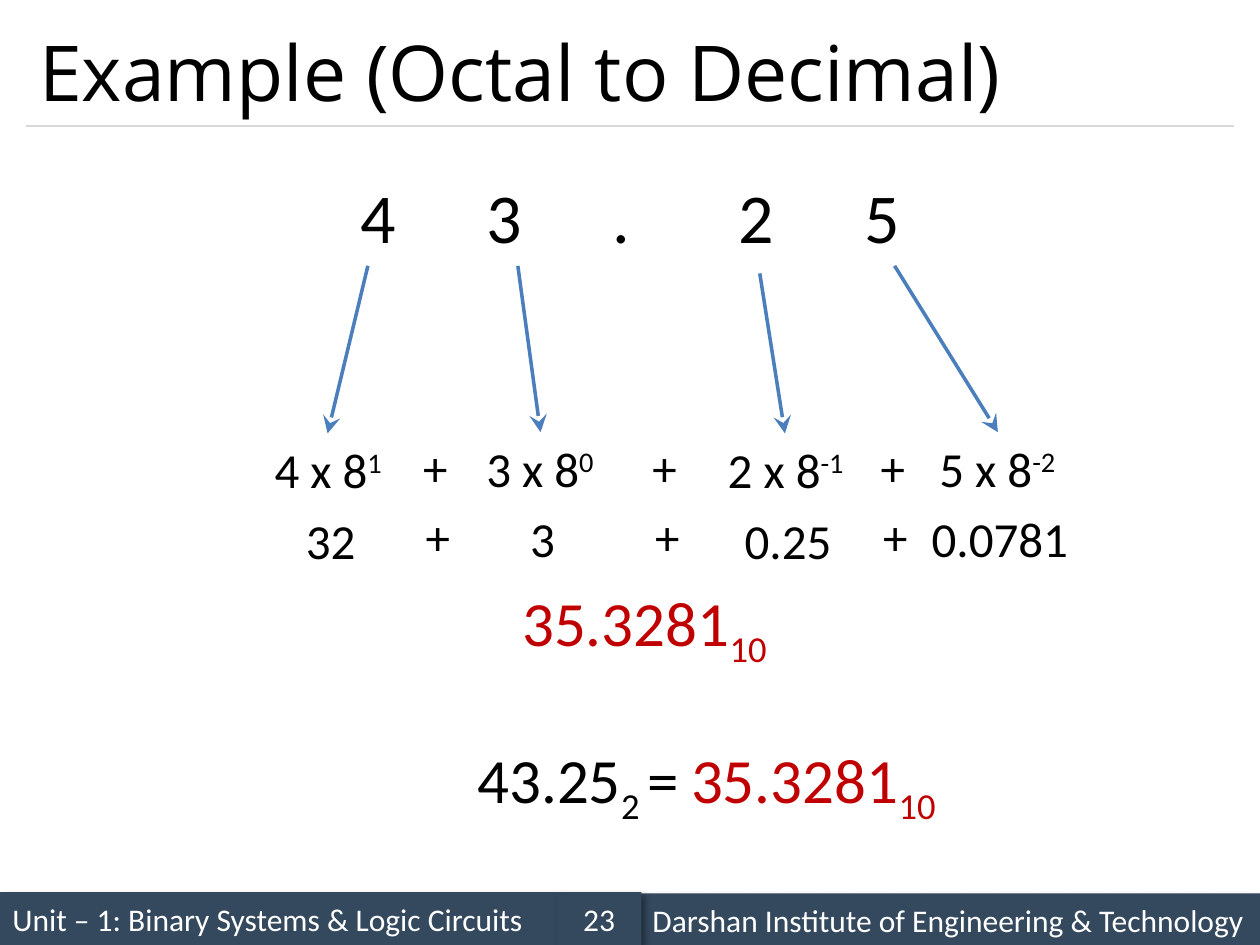
from lxml import etree
from pptx import Presentation
from pptx.dml.color import RGBColor
from pptx.enum.shapes import MSO_CONNECTOR, MSO_SHAPE
from pptx.enum.text import MSO_ANCHOR, PP_ALIGN
from pptx.oxml import parse_xml
from pptx.oxml.ns import nsdecls, qn
from pptx.util import Inches, Pt

LINE, RECT = MSO_CONNECTOR.STRAIGHT, MSO_SHAPE.RECTANGLE
MID, LEFT, CENTER = MSO_ANCHOR.MIDDLE, PP_ALIGN.LEFT, PP_ALIGN.CENTER
WIDE, HIGH = Inches(10), Inches(7.5)
COLS, ROWS = 100, 75
FONT, HEAD = "Calibri", "Open Sans"
HEX = {"ink": "000000", "red": "C00000", "bar": "34495E", "white": "FFFFFF",
       "rule": "D9D9D9", "arrow": "4B7EBC"}
SHADE = (f'<a:effectLst {nsdecls("a")}><a:outerShdw blurRad="50800" dist="38100" '
         'dir="2700000" algn="tl" rotWithShape="0"><a:srgbClr val="000000">'
         '<a:alpha val="40000"/></a:srgbClr></a:outerShdw></a:effectLst>')


def tint(name):
    """Return the named colour."""
    return RGBColor.from_string(HEX[name])


def spot(box, col, row):
    """Turn grid steps from the corner of a box into slide lengths."""
    return int((box[0] + col) * WIDE / COLS), int((box[1] + row) * HIGH / ROWS)


def style(run, size, color, face=FONT, shift=0):
    """Set the look of a run, raised or lowered by a percentage."""
    font = run.font
    font.name, font.size = face, Pt(size)
    font.color.rgb = tint(color)
    if shift:
        run._r.get_or_add_rPr().set("baseline", str(shift * 1000))


def add_tabs(para, count, step):
    """Give a paragraph evenly spaced tab stops."""
    props = para._p.get_or_add_pPr()
    props.set("defTabSz", str(step))
    stops = etree.SubElement(props, qn("a:tabLst"))
    for i in range(1, count + 1):
        etree.SubElement(stops, qn("a:tab"), pos=str(i * step), algn="l")


def label(slide, box, area, parts, size, color="ink"):
    """Add centred text made of (words, shift) parts and return its paragraph."""
    col, row, wide, high = area
    shape = slide.shapes.add_textbox(*spot(box, col, row), *spot((0, 0), wide, high))
    frame = shape.text_frame
    frame.word_wrap = True
    para = frame.paragraphs[0]
    para.alignment = CENTER
    for words, shift in parts:
        run = para.add_run()
        run.text = words
        style(run, size, color, shift=shift)
    return para


def stroke(slide, start, end, color, width, head=False):
    """Draw a straight line, with an arrowhead if asked."""
    line = slide.shapes.add_connector(LINE, *start, *end)
    line.line.color.rgb = tint(color)
    line.line.width = Pt(width)
    if head:
        etree.SubElement(line.line._get_or_add_ln(), qn("a:tailEnd"),
                         type="stealth", w="lg", len="lg")
    etree.SubElement(line._element.spPr, qn("a:effectLst"))


def header(slide, box, words):
    """Place the title and the rule under it."""
    title = slide.shapes.title
    title.left, title.top = spot(box, 0, 0)
    title.width, title.height = spot((0, 0), *box[2:])
    frame = title.text_frame
    frame.text = words
    frame.vertical_anchor = MID
    para = frame.paragraphs[0]
    para.alignment = LEFT
    style(para.runs[0], 44, "ink", HEAD)
    stroke(slide, spot(box, 0, box[3]), spot(box, box[2], box[3]), "rule", 0.75)


def footer(slide, box, unit, school, page):
    """Place the three bars along the bottom."""
    bars = ((0, 0, 44.2, unit, LEFT), (50.8, 0.1, 49.2, school, LEFT),
            (44.2, 0, 6.7, page, CENTER))
    for col, row, wide, words, align in bars:
        bar = slide.shapes.add_shape(RECT, *spot(box, col, row),
                                     *spot((0, 0), wide, box[3]))
        bar.fill.solid()
        bar.fill.fore_color.rgb = tint("bar")
        bar.line.fill.background()
        bar._element.spPr.append(parse_xml(SHADE))
        frame = bar.text_frame
        frame.text = words
        frame.word_wrap = True
        frame.vertical_anchor = MID
        para = frame.paragraphs[0]
        para.alignment = align
        style(para.runs[0], 18, "white")


def digits(slide, box):
    """Place the octal number and the arrows to its terms."""
    para = label(slide, box, (0, 0, box[2], 7.7), [("4\t3\t.\t2\t5", 0)], 40)
    add_tabs(para, 4, WIDE // 10)
    arrows = ((27.1, 7.8, 23.9, 21.1), (39, 7.8, 40.8, 21),
              (58.2, 8.4, 60.2, 21.1), (68.9, 7.8, 77.1, 21))
    for col, row, to_col, to_row in arrows:
        stroke(slide, spot(box, col, row), spot(box, to_col, to_row), "arrow", 2, True)


def terms(slide, box):
    """Place the weighted digits and their values, joined by plus signs."""
    cols, joins, drops = (0, 16.8, 36.3, 53.1), (12.9, 31.1, 49.2), (0.2, 0.1, 0.2, 0.1)
    data = (("4", "1", "32"), ("3", "0", "3"), ("2", "-1", "0.25"), ("5", "-2", "0.0781"))
    for col, drop, (digit, power, value) in zip(cols, drops, data):
        label(slide, box, (col, drop, 12.9, 5.7), [(f"{digit} x 8", 0), (power, 30)], 28)
        label(slide, box, (col + 0.2, drop + 5.6, 12.9, 5.7), [(value, 0)], 28)
    for col in joins:
        for step, row in ((0, 0), (0.2, 5.5)):
            label(slide, box, (col + step, row, 4.1, 5.7), [("+", 0)], 28)


def answer(slide, box):
    """Place the sum and the closing equation."""
    total = [("35.3281", 0), ("10", -25)]
    label(slide, box, (4.6, 0, 22.3, 7.1), total, 36, "red")
    label(slide, box, (0, 12.5, 21, 7.1), [("43.25", 0), ("2 ", -25), ("=", 0)], 36)
    label(slide, box, (17.9, 12.5, 22.5, 7.1), total, 36, "red")


def main():
    """Build the slide and save it."""
    deck = Presentation()
    deck.slide_width, deck.slide_height = WIDE, HIGH
    slide = deck.slides.add_slide(deck.slide_layouts[5])
    footer(slide, (0, 70.8, 100, 4.2), "Unit – 1: Binary Systems & Logic Circuits",
           "Darshan Institute of Engineering & Technology", "23")
    header(slide, (2.1, 1.2, 95.8, 8.8), "Example (Octal to Decimal)")
    digits(slide, (2.1, 13.3, 95.8, 21.1))
    terms(slide, (19.6, 34.2, 66.2, 11.5))
    answer(slide, (35.4, 45.8, 40.4, 19.6))
    deck.save("out.pptx")


if __name__ == "__main__":
    main()
